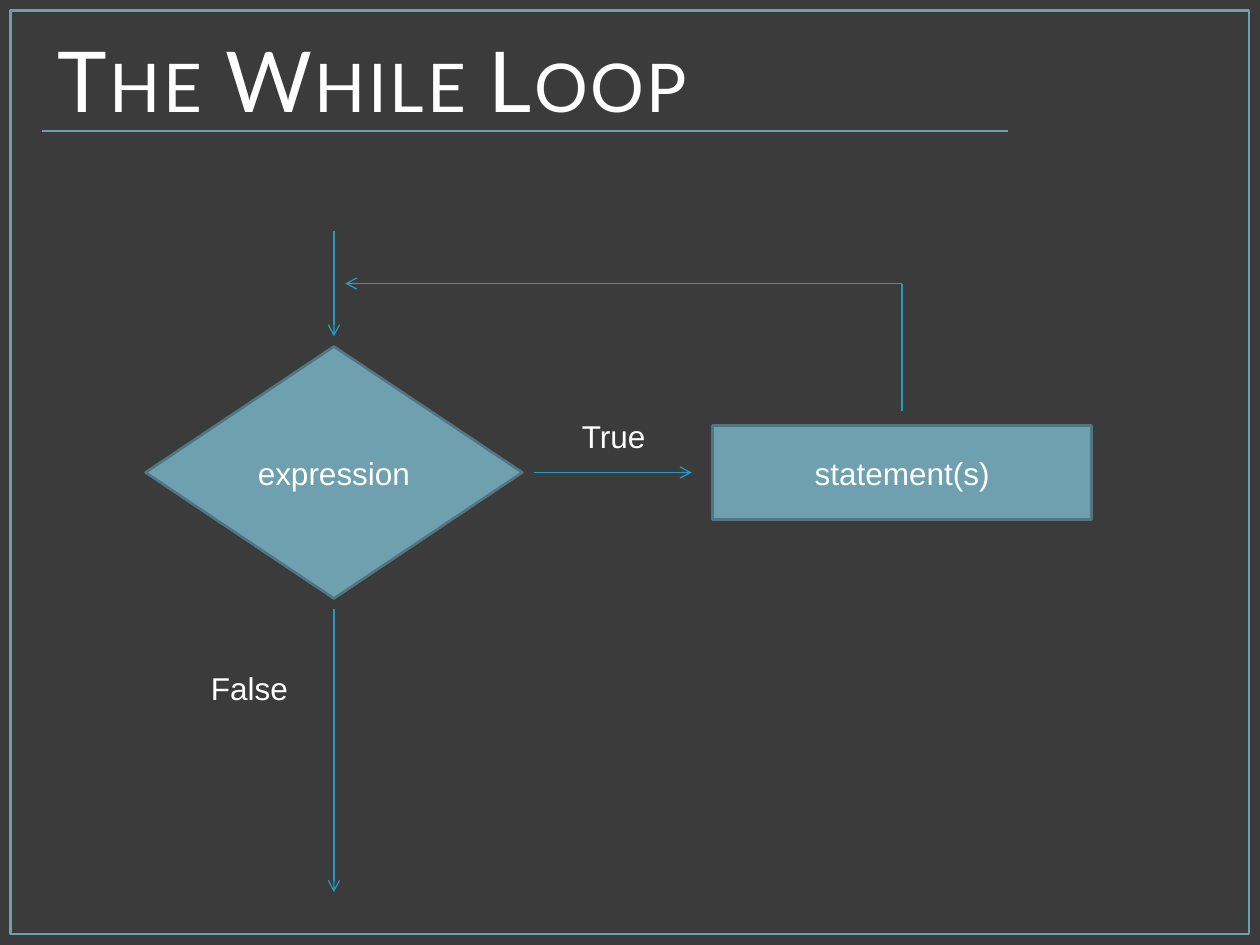
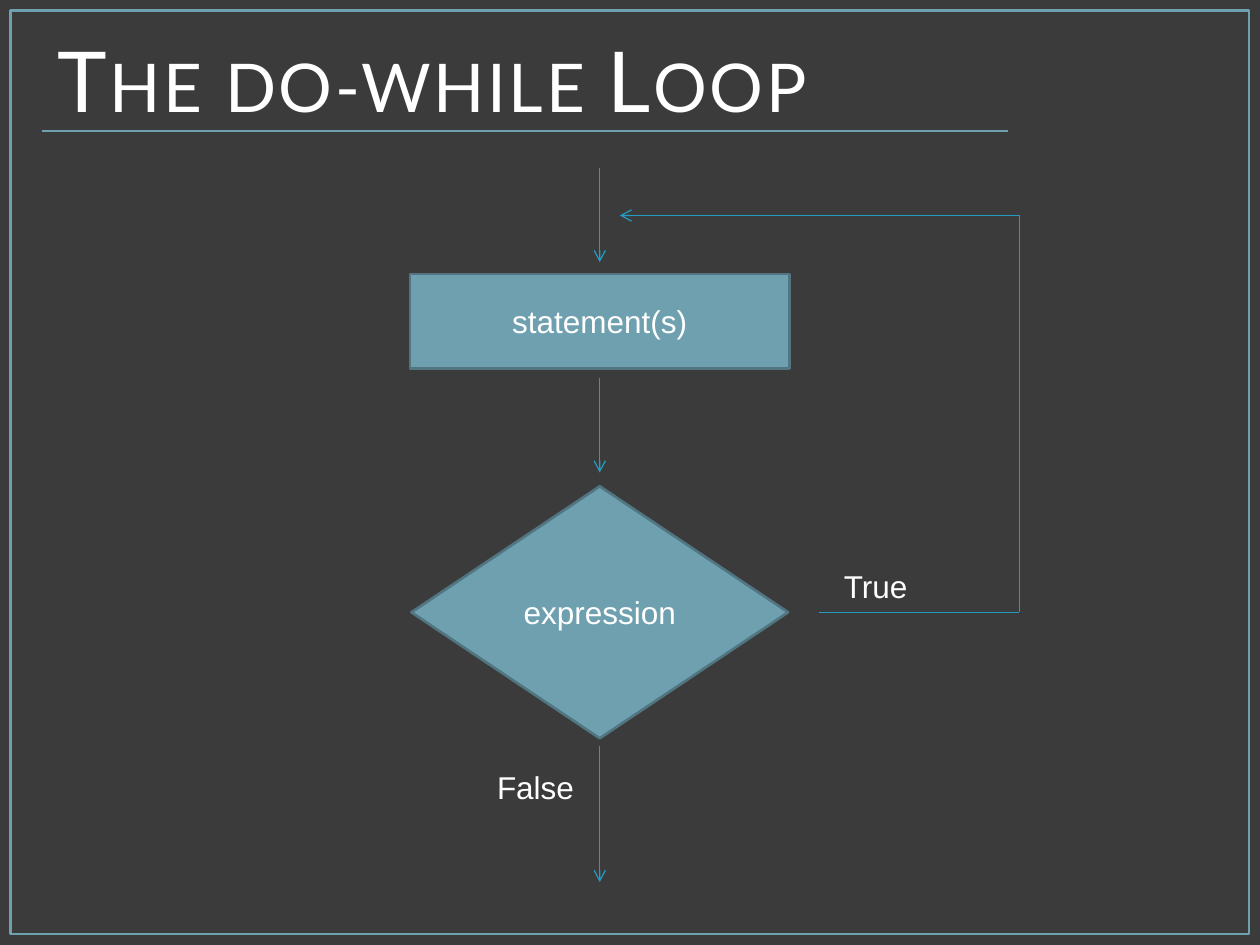
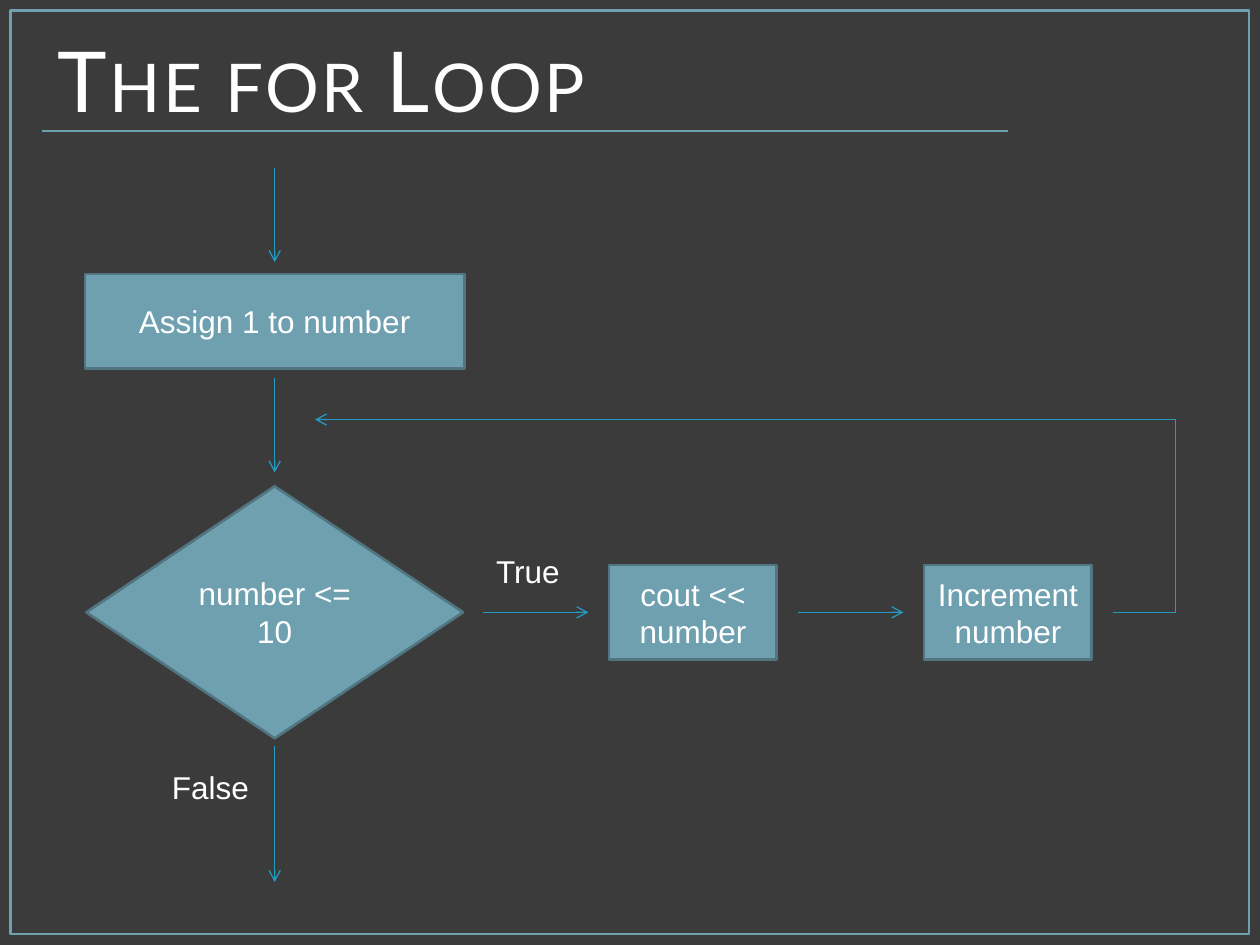
"""Build three flowchart slides about the while, do-while and for loops."""
from lxml.etree import SubElement
from pptx import Presentation
from pptx.dml.color import RGBColor
from pptx.enum.shapes import MSO_CONNECTOR, MSO_SHAPE
from pptx.enum.text import MSO_ANCHOR, PP_ALIGN
from pptx.oxml.ns import qn
from pptx.util import Inches, Pt

COLORS = {"back": "3B3B3B", "accent": "6EA0B0", "edge": "517682",
          "arrow": "239BC2", "text": "FFFFFF"}
BODY = {"name": "Arial", "size": Pt(18)}
TITLE = {"name": "Lato", "size": Pt(48)}
NODES = {"decision": (MSO_SHAPE.FLOWCHART_DECISION, 2.99, 2),
         "process": (MSO_SHAPE.RECTANGLE, 3.01, 0.75),
         "small": (MSO_SHAPE.RECTANGLE, 1.33, 0.75)}
LABELS = {"True": 0.71, "False": 0.82}
LABEL_HEIGHT = 0.4
ROW = 4.86


def column(x, statement, test):
    """Return the nodes, labels and arrows of a statement above a test."""
    nodes = [("process", statement, x, 2.55), ("decision", test, x, ROW)]
    labels = [("False", x - 0.51, 6.25)]
    arrows = [[(x, top), (x, end)] for top, end in ((1.33, 2.08), (3, 3.75), (5.92, 7))]
    return nodes, labels, arrows


DO_NODES, DO_LABELS, DO_ARROWS = column(4.76, "statement(s)", "expression")
FOR_NODES, FOR_LABELS, FOR_ARROWS = column(2.18, "Assign 1 to number", "number <= 10")

SLIDES = [
    {"title": "The While Loop",
     "nodes": [("decision", "expression", 2.65, 3.75),
               ("process", "statement(s)", 7.16, 3.75)],
     "labels": [("True", 4.87, 3.46), ("False", 1.98, 5.46)],
     "arrows": [[(2.65, 1.83), (2.65, 2.67)],
                [(2.65, 4.83), (2.65, 7.08)],
                [(4.24, 3.75), (5.49, 3.75)],
                [(7.16, 3.26), (7.16, 2.25), (2.74, 2.25)]]},
    {"title": "The do-while Loop",
     "nodes": DO_NODES,
     "labels": DO_LABELS + [("True", 6.95, 4.65)],
     "arrows": DO_ARROWS + [[(6.5, ROW), (8.09, ROW), (8.09, 1.71), (4.92, 1.71)]]},
    {"title": "The for Loop",
     "nodes": FOR_NODES + [("small", "cout << number", 5.5, ROW),
                           ("small", "Increment number", 8, ROW)],
     "labels": FOR_LABELS + [("True", 4.19, 4.53)],
     "arrows": FOR_ARROWS + [[(3.83, ROW), (4.67, ROW)],
                             [(6.33, ROW), (7.17, ROW)],
                             [(8.83, ROW), (9.33, ROW), (9.33, 3.33), (2.5, 3.33)]]},
]


def color(name):
    return RGBColor.from_string(COLORS[name])


def centered(x, y, width, height):
    return [Inches(value) for value in (x - width / 2, y - height / 2, width, height)]


def write(box, text, style, align=PP_ALIGN.CENTER, anchor=MSO_ANCHOR.MIDDLE, wrap=True):
    frame = box.text_frame
    frame.word_wrap = wrap
    frame.vertical_anchor = anchor
    para = frame.paragraphs[0]
    para.alignment = align
    span = para.add_run()
    span.text = text
    for key, value in style.items():
        setattr(span.font, key, value)
    span.font.color.rgb = color("text")
    return span


def add_block(page, kind, place, edge, fill=None):
    block = page.shapes.add_shape(kind, *place)
    block.shadow.inherit = False
    block.line.color.rgb = color(edge)
    block.line.width = Pt(1.5)
    if fill:
        block.fill.solid()
        block.fill.fore_color.rgb = color(fill)
    else:
        block.fill.background()
    return block


def add_line(page, start, end, name, arrow=False):
    ends = [Inches(value) for value in (*start, *end)]
    line = page.shapes.add_connector(MSO_CONNECTOR.STRAIGHT, *ends)
    line.line.color.rgb = color(name)
    line.line.width = Pt(0.75)
    if arrow:
        SubElement(line.line._get_or_add_ln(), qn("a:tailEnd"), type="arrow")
    SubElement(line._element.spPr, qn("a:effectLst"))


def add_title(page, text):
    add_block(page, MSO_SHAPE.RECTANGLE, centered(5, 3.75, 9.83, 7.33), "accent")
    add_line(page, (0.33, 1.04), (8, 1.04), "accent")
    box = page.shapes.add_textbox(Inches(0.36), 0, Inches(9), Inches(1.25))
    span = write(box, text, TITLE, align=PP_ALIGN.LEFT)
    for key, value in {"cap": "small", "spc": "150"}.items():
        span.font._element.set(key, value)


def main():
    deck = Presentation()
    deck.slide_width, deck.slide_height = Inches(10), Inches(7.5)
    back = deck.slide_master.background.fill
    back.solid()
    back.fore_color.rgb = color("back")
    for content in SLIDES:
        page = deck.slides.add_slide(deck.slide_layouts[6])
        add_title(page, content["title"])
        for name, text, x, y in content["nodes"]:
            kind, width, height = NODES[name]
            node = add_block(page, kind, centered(x, y, width, height), "edge", "accent")
            write(node, text, BODY)
        for text, x, y in content["labels"]:
            box = page.shapes.add_textbox(*centered(x, y, LABELS[text], LABEL_HEIGHT))
            write(box, text, BODY, anchor=MSO_ANCHOR.TOP, wrap=False)
        for points in content["arrows"]:
            for start, end in zip(points, points[1:]):
                add_line(page, start, end, "arrow", arrow=end == points[-1])
    deck.save("out.pptx")


if __name__ == "__main__":
    main()
